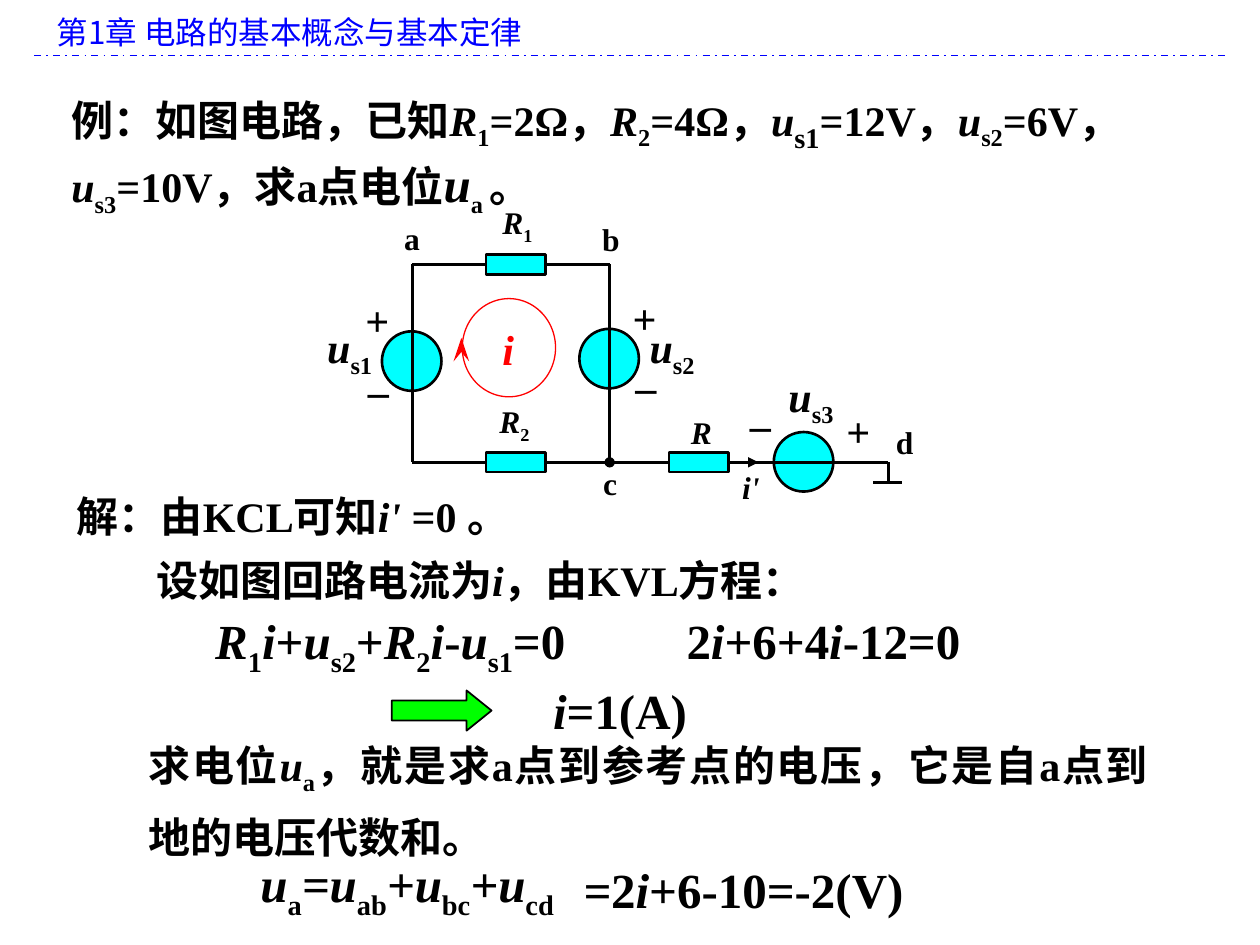
from lxml.etree import SubElement
from pptx import Presentation
from pptx.dml.color import RGBColor
from pptx.enum.dml import MSO_LINE
from pptx.enum.shapes import MSO_CONNECTOR, MSO_SHAPE
from pptx.enum.text import MSO_ANCHOR, MSO_AUTO_SIZE, PP_ALIGN
from pptx.oxml.ns import qn
from pptx.util import Cm, Pt

rgb = RGBColor.from_string
BLACK, BLUE, RED, CYAN, GREEN = "000000", "0000FF", "FF0000", "00FFFF", "00FF00"

prs = Presentation()
prs.slide_width, prs.slide_height = Cm(25.4), Cm(19.05)
s = prs.slides.add_slide(prs.slide_layouts[5])


def add_text(markup, x, y, w, h, size=24, color=BLACK, align=PP_ALIGN.LEFT, spacing=None):
    """Runs are parted by |; a run may start with / italic, ~ subscript, ^ 28 pt."""
    tf = s.shapes.add_textbox(Cm(x), Cm(y), Cm(w), Cm(h)).text_frame
    tf.word_wrap = align != PP_ALIGN.CENTER
    if align == PP_ALIGN.CENTER:
        tf.vertical_anchor = MSO_ANCHOR.MIDDLE
    p = tf.paragraphs[0]
    p.alignment = align
    if spacing:
        p.line_spacing = spacing
    p.font.name, p.font.size, p.font.bold = "Times New Roman", Pt(size), True
    p.font.color.rgb = rgb(color)
    for part in markup.split("|"):
        r = p.add_run()
        r.text = part.lstrip("/~^")
        flags = part[:len(part) - len(r.text)]
        if "/" in flags:
            r.font.italic = True
        if "^" in flags:
            r.font.size = Pt(28)
        if "~" in flags:
            r._r.get_or_add_rPr().set("baseline", "-25000")


def add_line(x1, y1, x2, y2, width=1.5, color=BLACK, head=None, head_width="med"):
    c = s.shapes.add_connector(MSO_CONNECTOR.STRAIGHT, Cm(x1), Cm(y1), Cm(x2), Cm(y2))
    c.line.width = Pt(width)
    c.line.color.rgb = rgb(color)
    if head:
        SubElement(c.line._get_or_add_ln(), qn("a:tailEnd"), type=head, w=head_width, len="med")
    SubElement(c._element.spPr, qn("a:effectLst"))
    return c


# Chapter header
title = s.shapes.title
title.left, title.top, title.width, title.height = Cm(0.89), Cm(0.13), Cm(23.8), Cm(1.02)
tf = title.text_frame
tf.text = "第1章 电路的基本概念与基本定律"
tf.auto_size, tf.vertical_anchor = MSO_AUTO_SIZE.NONE, MSO_ANCHOR.TOP
p = tf.paragraphs[0]
p.alignment = PP_ALIGN.LEFT
p.font.name, p.font.size = "Noto Sans CJK SC", Pt(18)
p.font.color.rgb = rgb(BLUE)
add_line(0.69, 1.12, 24.69, 1.12, 1, BLUE).line.dash_style = MSO_LINE.DASH_DOT

# Problem
add_text("例：如图电路，已知|/R|~1|=2Ω，|/R|~2|=4Ω，|/u|~^s1|=12V，|/u|~s2|=6V，|/u|~s3"
         "|=10V，求a点电位|/^u|~a |。", 1.19, 1.63, 22.71, 2.46)

# Solution text
for markup, x, y, w, h, spacing in [
    ("解：由KCL可知|/i' |=0 。", 1.3, 9.35, 12.8, 1.68, 1.4),
    ("设如图回路电流为|/i|，由KVL方程：", 2.9, 10.64, 15.6, 1.68, 1.4),
    ("求电位|/u|~a|，就是求a点到参考点的电压，它是自a点到地的电压代数和。",
     2.74, 14.43, 20.65, 2.9, 1.3),
]:
    add_text(markup, x, y, w, h, align=PP_ALIGN.JUSTIFY, spacing=spacing)

# Equations
for markup, x, y, w in [
    ("/R|~1|/i|+|/u|~s2|+|/R|~2|/i|-|/u|~s1|=0", 4.09, 12.19, 10.8),
    ("2|/i|+6+4|/i|-12=0", 13.59, 12.19, 9.3),
    ("/i|=1(A)", 10.9, 13.59, 4.39),
    ("/u|~a|/=u|~ab|/+u|~bc|/+u|~cd", 5, 17.09, 7.59),
    ("/=|2|/i|+6-10=-2(V)", 11.51, 17.2, 9.09),
]:
    add_text(markup, x, y, w, 1.45, 28)

# Loop current, sources and result arrow
TOP, BOTTOM = 5.33, 9.32
LEFT, MIDDLE, RIGHT = 8.31, 12.29, 17.91
shapes = [
    (MSO_SHAPE.OVAL, 9.32, 6.02, 1.88, 1.98, None, RED, 0.75),
    (MSO_SHAPE.RIGHT_ARROW, 7.9, 13.92, 2.01, 0.81, GREEN, BLACK, 1),
]
for x, y in [(15.6, 8.71), (11.68, 6.63), (7.7, 6.68)]:
    shapes.append((MSO_SHAPE.OVAL, x, y, 1.2, 1.2, CYAN, BLACK, 1.5))

# Wires come between the sources and the resistors
resistors = [(MSO_SHAPE.RECTANGLE, x, y - 0.2, 1.2, 0.4, CYAN, BLACK, 1.5)
             for x, y in [(9.8, TOP), (9.8, BOTTOM), (13.49, BOTTOM)]]
wires = [
    (LEFT, TOP, MIDDLE, TOP),
    (LEFT, TOP, LEFT, BOTTOM),
    (MIDDLE, TOP, MIDDLE, BOTTOM),
    (MIDDLE, BOTTOM, RIGHT, BOTTOM),
    (RIGHT, BOTTOM, RIGHT, 9.73),
    (17.6, 9.73, 18.19, 9.73),
]
for group in (shapes, resistors):
    for kind, x, y, w, h, fill, color, width in group:
        sp = s.shapes.add_shape(kind, Cm(x), Cm(y), Cm(w), Cm(h))
        sp.shadow.inherit = False
        if fill:
            sp.fill.solid()
            sp.fill.fore_color.rgb = rgb(fill)
        else:
            sp.fill.background()
        sp.line.color.rgb = rgb(color)
        sp.line.width = Pt(width)
        if kind == MSO_SHAPE.RIGHT_ARROW:
            sp.adjustments[0], sp.adjustments[1] = 0.5, 0.62
    if group is shapes:
        for wire in wires:
            add_line(*wire)
        add_line(LEFT, BOTTOM, MIDDLE, BOTTOM, head="oval")

# Current arrows
add_line(14.88, BOTTOM, 15.29, BOTTOM, head="triangle")
add_line(9.3, 6.96, 9.3, 6.81, 4.5, RED, "stealth", "sm")
add_text("/i", 9.88, 6.4, 1.3, 1.27, color=RED)

# Polarity signs and source names
for markup, x, y, w in [
    ("+", 7.11, 5.82, 0.99), ("+", 12.5, 5.77, 0.99), ("+", 16.81, 8.05, 0.99),
    ("_", 7.16, 6.93, 0.94), ("_", 12.55, 6.86, 0.94), ("_", 14.86, 7.62, 0.94),
    ("/u|~s1", 6.3, 6.43, 1.5), ("/u|~s2", 12.8, 6.43, 1.5), ("/u|~s3", 15.6, 7.42, 1.5),
]:
    add_text(markup, x, y, w, 1.27, align=PP_ALIGN.CENTER)

# Resistor names
for markup, x, y, w in [("/R|~1", 9.86, 4.01, 1.14), ("/R|~2", 9.8, 8.03, 1.14),
                        ("/R", 13.67, 8.2, 0.94)]:
    add_text(markup, x, y, w, 1.02, 18, align=PP_ALIGN.CENTER)

# Node names and branch current
for markup, x, y in [("a", 7.9, 4.29), ("b", 11.89, 4.32), ("c", 11.91, 9.22),
                     ("d", 17.81, 8.41), ("/i'", 14.71, 9.32)]:
    add_text(markup, x, y, 0.99, 1.02, 18)

prs.save("out.pptx")
